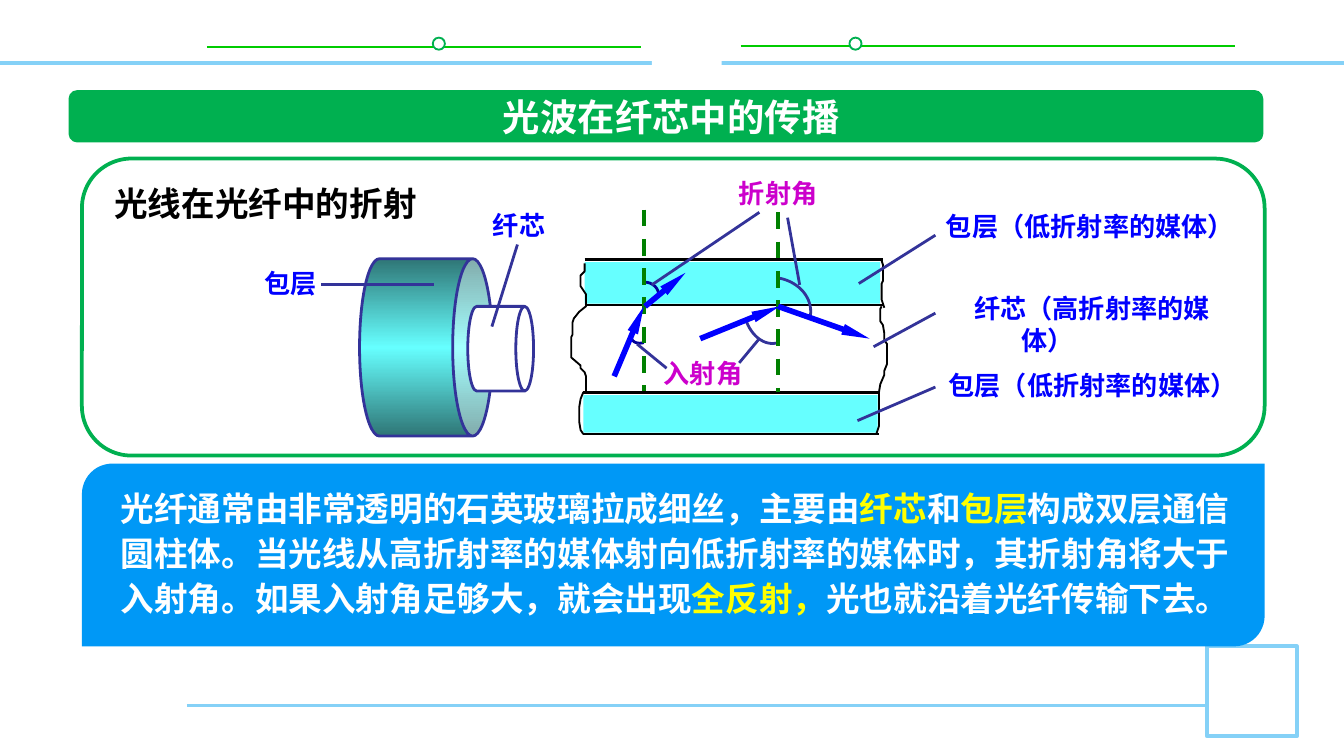
from copy import deepcopy
from dataclasses import dataclass
from typing import NamedTuple

from lxml.etree import SubElement
from pptx import Presentation
from pptx.dml.color import RGBColor
from pptx.enum.dml import MSO_LINE
from pptx.enum.shapes import MSO_CONNECTOR, MSO_SHAPE
from pptx.enum.text import MSO_ANCHOR, PP_ALIGN
from pptx.oxml.ns import qn
from pptx.util import Inches, Pt

RECT, ROUND, OVAL = MSO_SHAPE.RECTANGLE, MSO_SHAPE.ROUNDED_RECTANGLE, MSO_SHAPE.OVAL
CAN, DIAG = MSO_SHAPE.CAN, MSO_SHAPE.ROUND_2_DIAG_RECTANGLE
STRAIGHT, DASH = MSO_CONNECTOR.STRAIGHT, MSO_LINE.DASH
LEFT, CENTER = PP_ALIGN.LEFT, PP_ALIGN.CENTER
TOP, MIDDLE = MSO_ANCHOR.TOP, MSO_ANCHOR.MIDDLE


@dataclass(frozen=True)
class Theme:
    font: str = "Noto Sans CJK SC"
    white: str = "FFFFFF"
    black: str = "000000"
    green: str = "00B050"
    lime: str = "00CC00"
    sky: str = "85D1F7"
    panel: str = "0098F6"
    yellow: str = "FFFF00"
    blue: str = "0000FF"
    pink: str = "CC00CC"
    navy: str = "333399"
    deep: str = "000099"
    normal: str = "008000"
    glass: str = "66FFFF"
    shade: str = "2F7676"
    label: int = 14
    body: int = 18
    title: int = 20


T = Theme()
Point = tuple[float, float]
Area = tuple[float, float, float, float]


class Box(NamedTuple):
    kind: int
    at: Area
    fill: str
    line: str = ""
    width: float = 1
    turn: float = 0
    adj: float | None = None


class Line(NamedTuple):
    start: Point
    end: Point
    color: str = T.navy
    width: float = 1.5
    dash: bool = False
    arrow: bool = False


class Arc(NamedTuple):
    points: tuple[Point, Point, Point, Point]
    color: str


class Label(NamedTuple):
    text: str
    at: Area
    color: str = T.blue
    hang: float = 0


deck = Presentation()
deck.slide_width = Inches(10)
deck.slide_height = deck.slide_width * 9 // 16
slide = deck.slides.add_slide(deck.slide_layouts[6])
shapes = slide.shapes


def rgb(color: str) -> RGBColor:
    return RGBColor.from_string(color)


def draw_box(box: Box):
    shape = shapes.add_shape(box.kind, *map(Inches, box.at))
    shape.shadow.inherit = False
    shape.rotation = box.turn
    shape.fill.solid()
    shape.fill.fore_color.rgb = rgb(box.fill)
    if box.line:
        shape.line.color.rgb = rgb(box.line)
        shape.line.width = Pt(box.width)
    else:
        shape.line.fill.background()
    if box.adj is not None:
        shape.adjustments[0] = box.adj
    return shape


def draw_line(line: Line) -> None:
    link = shapes.add_connector(STRAIGHT, *map(Inches, line.start + line.end))
    link.line.color.rgb = rgb(line.color)
    link.line.width = Pt(line.width)
    if line.dash:
        link.line.dash_style = DASH
    props = link._element.spPr
    if line.arrow:
        SubElement(props.find(qn("a:ln")), qn("a:tailEnd"), type="triangle", w="sm", len="lg")
    SubElement(props, qn("a:effectLst"))


def draw_path(points: list[Point], color: str, width: float) -> None:
    spots = [(Inches(x), Inches(y)) for x, y in points]
    pen = shapes.build_freeform(*spots[0])
    pen.add_line_segments(spots[1:], close=False)
    shape = pen.convert_to_shape()
    shape.shadow.inherit = False
    shape.fill.background()
    shape.line.color.rgb = rgb(color)
    shape.line.width = Pt(width)


def draw_arc(arc: Arc, steps: int = 16) -> None:
    def spot(t: float) -> Point:
        parts = ((1 - t) ** 3, 3 * t * (1 - t) ** 2, 3 * t * t * (1 - t), t ** 3)
        return tuple(sum(w * p[i] for w, p in zip(parts, arc.points)) for i in (0, 1))

    draw_path([spot(i / steps) for i in range(steps + 1)], arc.color, 1.5)


def add_text(text: str | list[tuple[str, str]], at: Area, *, size: int = T.label,
             color: str = T.blue, align: int = LEFT, anchor: int = TOP,
             hang: float = 0, space: float | None = None) -> None:
    frame = shapes.add_textbox(*map(Inches, at)).text_frame
    frame.word_wrap = True
    frame.vertical_anchor = anchor
    para = frame.paragraphs[0]
    para.alignment = align
    if space:
        para.line_spacing = Pt(space)
    if hang:
        props = para._p.get_or_add_pPr()
        props.set("marL", str(Inches(hang)))
        props.set("indent", str(-Inches(hang)))
    for words, tint in [(text, color)] if isinstance(text, str) else text:
        run = para.add_run()
        run.text = words
        run.font.size, run.font.bold, run.font.name = Pt(size), True, T.font
        run.font.color.rgb = rgb(tint)
        SubElement(run._r.get_or_add_rPr(), qn("a:ea"), typeface=T.font)


def shade_can(shape) -> None:
    fill = shape.fill
    fill.gradient()
    fill.gradient_angle = 0
    last = shape._element.spPr.find(qn("a:gradFill")).find(qn("a:gsLst"))[-1]
    last.addnext(deepcopy(last))
    for stop, color, place in zip(fill.gradient_stops, (T.shade, T.glass, T.shade), (0, 0.5, 1)):
        stop.color.rgb = rgb(color)
        stop.position = place


for start, end, y, dot in ((1.54, 4.77, 0.35, 3.22), (5.51, 9.19, 0.34, 6.32)):
    draw_line(Line((start, y), (end, y), T.lime, 1))
    draw_box(Box(OVAL, (dot, 0.28, 0.09, 0.09), T.white, T.green))
draw_line(Line((1.39, 5.25), (8.98, 5.25), T.sky))
draw_line(Line((0, 0.47), (10, 0.47), T.sky, 2))

BOXES = [
    Box(RECT, (8.98, 4.81, 0.67, 0.67), T.white, T.sky, 2),
    Box(RECT, (4.85, 0.14, 0.52, 0.51), T.white),
    Box(ROUND, (0.51, 0.67, 8.89, 0.39), T.green),
    Box(ROUND, (0.61, 1.18, 8.8, 2.21), T.white, T.green, 2),
    Box(DIAG, (0.61, 3.45, 8.8, 1.36), T.panel),
    Box(RECT, (4.35, 1.95, 2.2, 0.31), T.glass),
    Box(RECT, (4.34, 2.94, 2.19, 0.28), T.glass),
]
for box in BOXES:
    draw_box(box)
shade_can(draw_box(Box(CAN, (2.51, 2.09, 1.32, 0.99), T.glass, T.navy, 1.5, 90, 0.3)))
draw_box(Box(CAN, (3.41, 2.35, 0.63, 0.49), T.white, T.navy, 1.5, 90, 0.27))

for left, right, rows in ((4.35, 6.57, (1.93, 2.27)), (4.34, 6.54, (2.92, 3.23))):
    for y in rows:
        draw_line(Line((left, y), (right, y), T.black))

EDGES = [
    [(4.35, 1.96), (4.35, 2.02), (4.32, 2.05), (4.32, 2.13), (4.36, 2.19), (4.36, 2.28),
     (4.31, 2.32), (4.27, 2.37), (4.26, 2.4), (4.26, 2.49), (4.25, 2.51), (4.25, 2.66),
     (4.32, 2.72), (4.32, 2.74), (4.35, 2.77), (4.36, 2.8), (4.36, 2.92), (4.34, 2.92),
     (4.32, 2.97), (4.31, 3.03), (4.31, 3.14), (4.32, 3.2), (4.34, 3.23)],
    [(6.56, 1.94), (6.57, 1.97), (6.57, 2.09), (6.56, 2.11), (6.56, 2.23), (6.58, 2.29)],
    [(6.56, 2.28), (6.55, 2.3), (6.55, 2.39), (6.57, 2.42), (6.58, 2.48), (6.58, 2.53),
     (6.6, 2.56), (6.6, 2.71), (6.58, 2.76), (6.58, 2.79), (6.55, 2.86), (6.54, 2.92)],
    [(6.54, 2.91), (6.54, 3.17), (6.52, 3.23)],
]
for edge in EDGES:
    draw_path(edge, T.black, 1)

ARCS = [
    Arc(((4.79, 2.55), (4.75, 2.56), (4.71, 2.55), (4.7, 2.52)), T.deep),
    Arc(((4.8, 2.1), (4.85, 2.1), (4.9, 2.14), (4.9, 2.19)), T.deep),
    Arc(((5.79, 2.55), (5.69, 2.58), (5.59, 2.5), (5.55, 2.38)), T.navy),
    Arc(((5.8, 2.07), (5.95, 2.1), (6.05, 2.22), (6.03, 2.35)), T.navy),
]
for arc in ARCS:
    draw_arc(arc)

for x, top, base in ((4.79, 1.56, 2.91), (5.79, 1.58, 2.92)):
    draw_line(Line((x, top), (x, base), T.normal, 2.25, dash=True))

RAYS = [((4.57, 2.8), (4.79, 2.28)), ((4.8, 2.28), (5.1, 2.03)),
        ((5.21, 2.52), (5.8, 2.28)), ((5.79, 2.28), (6.47, 2.52))]
for start, end in RAYS:
    draw_line(Line(start, end, T.blue, 3, arrow=True))

LEADS = [((5.86, 1.62), (5.95, 2.12)), ((4.85, 2.12), (5.65, 1.58)),
         ((4.74, 2.56), (4.96, 2.74)), ((5.5, 2.7), (5.65, 2.52)),
         ((6.5, 2.58), (6.96, 2.33)), ((6.96, 1.75), (6.39, 2.11)),
         ((6.96, 2.88), (6.38, 3.13)), ((2.39, 2.12), (3.23, 2.12)),
         ((3.85, 1.82), (3.66, 2.43))]
for start, end in LEADS:
    draw_line(Line(start, end))

LABELS = [
    Label("折射角", (5.4, 1.27, 0.83, 0.33), T.pink),
    Label("入射角", (4.84, 2.61, 0.83, 0.33), T.pink),
    Label("包层（低折射率的媒体）", (6.94, 1.52, 2.45, 0.34)),
    Label("包层（低折射率的媒体）", (6.96, 2.7, 2.45, 0.34)),
    Label("纤芯（高折射率的媒体）", (7.15, 2.13, 2.05, 0.57), hang=0.35),
    Label("包层", (1.87, 1.94, 0.65, 0.34)),
    Label("纤芯", (3.57, 1.51, 0.7, 0.34)),
]
for label in LABELS:
    add_text(label.text, label.at, color=label.color, hang=label.hang)

add_text("光波在纤芯中的传播", (1.37, 0.67, 7.25, 0.39), size=T.title, color=T.white,
         align=CENTER, anchor=MIDDLE)
add_text("光线在光纤中的折射", (0.72, 1.31, 2.51, 0.4), size=T.body, color=T.black, align=CENTER)
add_text([
    ("光纤通常由非常透明的石英玻璃拉成细丝，主要由", T.white),
    ("纤芯", T.yellow),
    ("和", T.white),
    ("包层", T.yellow),
    ("构成双层通信圆柱体。当光线从高折射率的媒体射向低折射率的媒体时，"
     "其折射角将大于入射角。如果入射角足够大，就会出现", T.white),
    ("全反射，", T.yellow),
    ("光也就沿着光纤传输下去。", T.white),
], (0.8, 3.55, 8.53, 1.11), size=T.body, space=24)

deck.save("out.pptx")
